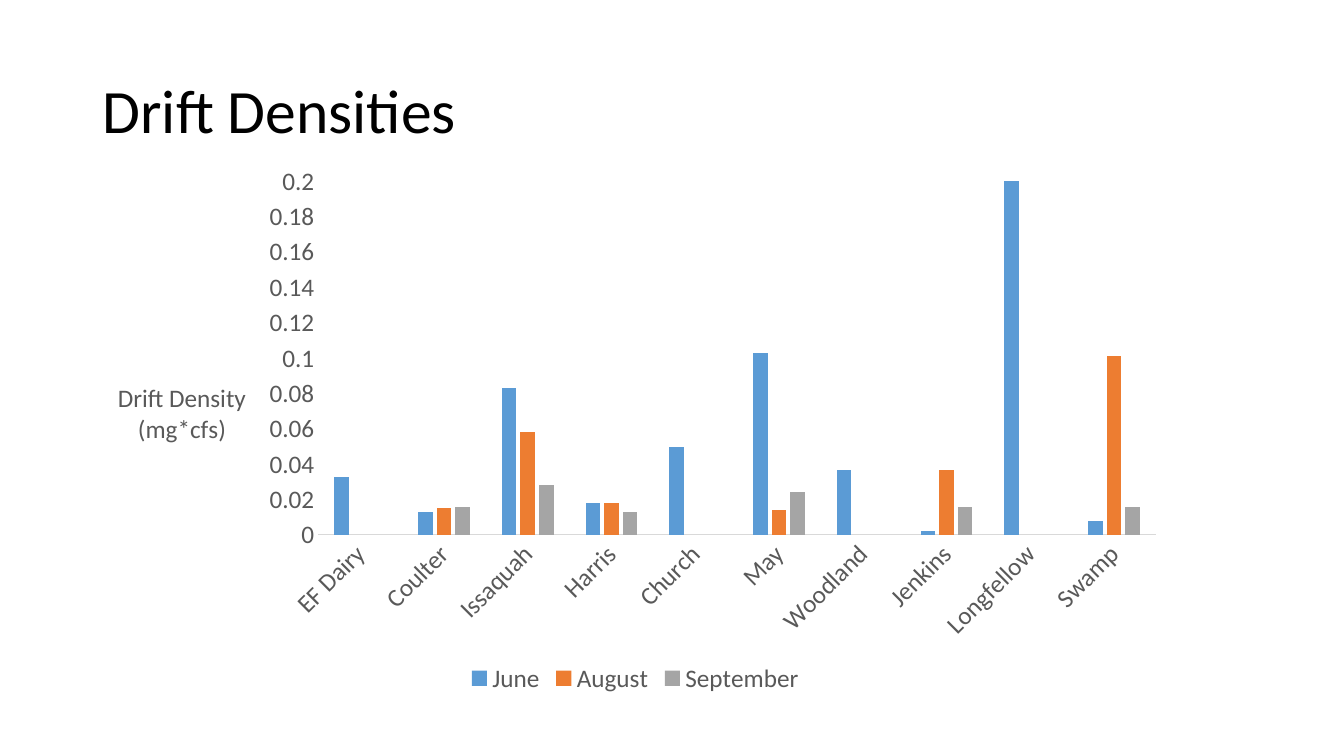
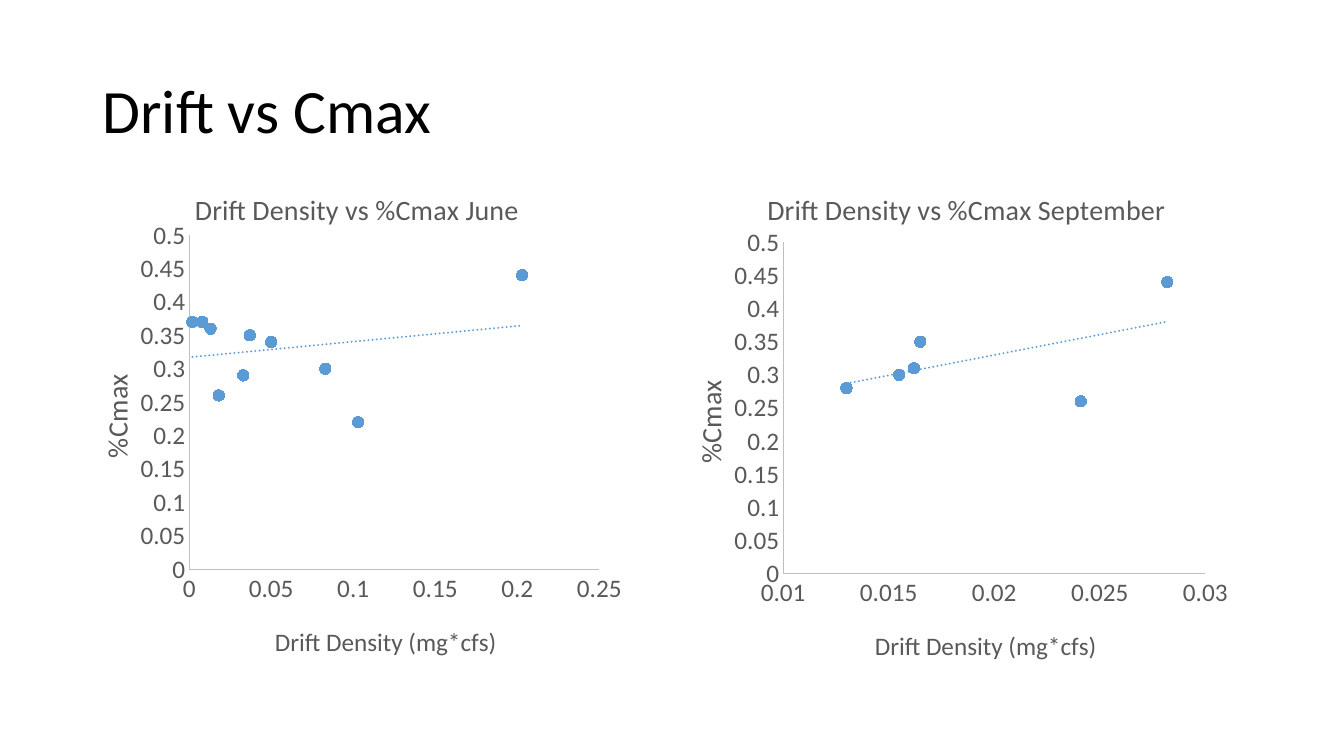
from lxml import etree
from pptx import Presentation
from pptx.chart.data import CategoryChartData, XyChartData
from pptx.dml.color import RGBColor
from pptx.enum.chart import XL_CHART_TYPE as ChartType
from pptx.enum.chart import XL_LEGEND_POSITION as LegendPos
from pptx.enum.chart import XL_MARKER_STYLE as Marker
from pptx.enum.chart import XL_TICK_MARK as Tick
from pptx.enum.text import MSO_ANCHOR as Anchor
from pptx.oxml import parse_xml
from pptx.oxml.ns import nsdecls, qn
from pptx.util import Pt

PX = 9144
FONT = "Calibri"
BLACK, GREY = "000000", "595959"
BASELINE, AXIS = "D9D9D9", "BFBFBF"
BLUE, ORANGE, SILVER = "5B9BD5", "ED7D31", "A5A5A5"
X_LABEL = "Drift Density (mg*cfs)"

SITES = ["EF Dairy", "Coulter", "Issaquah", "Harris", "Church", "May",
         "Woodland", "Jenkins", "Longfellow", "Swamp"]
JUNE = [0.033, 0.013, 0.083, 0.018, 0.05, 0.103, 0.037, 0.002, 0.203, 0.008]
AUGUST = [None, 0.015, 0.058, 0.018, None, 0.014, None, 0.037, None, 0.101]
SEPTEMBER = [None, 0.016, 0.028, 0.013, None, 0.024, None, 0.016, None, 0.016]
MONTHS = [("June", JUNE, BLUE), ("August", AUGUST, ORANGE),
          ("September", SEPTEMBER, SILVER)]

JUNE_CMAX = [0.29, 0.36, 0.3, 0.26, 0.34, 0.22, 0.35, 0.37, 0.44, 0.37]
SEPT_DRIFT = [0.0155, 0.0282, 0.013, 0.0241, 0.0165, 0.0162]
SEPT_CMAX = [0.3, 0.44, 0.28, 0.26, 0.35, 0.31]


def rgb(color):
    return RGBColor.from_string(color)


def px(*lengths):
    return [n * PX for n in lengths]


def set_font(font, size, color):
    font.name, font.size, font.bold = FONT, Pt(size), False
    font.color.rgb = rgb(color)


def add_slide(prs, title):
    s = prs.slides.add_slide(prs.slide_layouts[6])
    tf = s.shapes.add_textbox(*px(92, 40, 1150, 145)).text_frame
    tf.word_wrap = True
    tf.vertical_anchor = Anchor.MIDDLE
    p = tf.paragraphs[0]
    p.text = title
    p.line_spacing = 0.9
    set_font(p.font, 44, BLACK)
    return s


def manual_layout(x, y, size=None):
    parts = [("xMode", "edge"), ("yMode", "edge"), ("x", x), ("y", y)]
    if size:
        parts.insert(0, ("layoutTarget", "inner"))
        parts += zip("wh", size)
    body = "".join(f'<c:{tag} val="{val}"/>' for tag, val in parts)
    return parse_xml(f'<c:layout {nsdecls("c")}><c:manualLayout>{body}'
                     '</c:manualLayout></c:layout>')


def set_layout(parent, layout):
    for old in parent.findall(qn("c:layout")):
        parent.remove(old)
    tx = parent.find(qn("c:tx"))
    if tx is None:
        parent.insert(0, layout)
    else:
        tx.addnext(layout)


def set_title(title, text, size, at, box, rotation=0):
    tf = title.text_frame
    tf.text = text
    set_font(tf.paragraphs[0].font, size, GREY)
    body = title._element.find(".//" + qn("a:bodyPr"))
    body.set("rot", str(rotation * 60000))
    body.set("vert", "horz")
    set_layout(title._element,
               manual_layout(round(at[0] / box[2], 3), round(at[1] / box[3], 3)))


def style_axis(axis, line, low=None, high=None, step=None):
    axis.has_major_gridlines = False
    axis.major_tick_mark = axis.minor_tick_mark = Tick.NONE
    set_font(axis.tick_labels.font, 18, GREY)
    axis.tick_labels.number_format = "General"
    axis.tick_labels.number_format_is_linked = False
    if line:
        axis.format.line.color.rgb = rgb(line)
        axis.format.line.width = Pt(0.75)
    else:
        axis.format.line.fill.background()
    if high is not None:
        axis.minimum_scale, axis.maximum_scale = low, high
        axis.major_unit = step


def add_chart(s, kind, box, data):
    chart = s.shapes.add_chart(kind, *px(*box), data).chart
    set_font(chart.font, 10, BLACK)
    chart.has_title = chart.has_legend = False
    chart.plots[0].vary_by_categories = False
    return chart


def add_density_columns(s, box):
    data = CategoryChartData()
    data.categories = SITES
    for name, values, _ in MONTHS:
        data.add_series(name, values)
    chart = add_chart(s, ChartType.COLUMN_CLUSTERED, box, data)
    plot = chart.plots[0]
    plot.gap_width, plot.overlap = 219, -27
    for series, (_, _, color) in zip(plot.series, MONTHS):
        series.format.fill.solid()
        series.format.fill.fore_color.rgb = rgb(color)
    style_axis(chart.category_axis, BASELINE)
    chart.category_axis._element.find(".//" + qn("a:bodyPr")).set("rot", "-2700000")
    style_axis(chart.value_axis, None, 0, 0.2, 0.02)
    set_title(chart.value_axis.axis_title, X_LABEL, 18, (20, 219), box)
    chart.has_legend = True
    chart.legend.position = LegendPos.BOTTOM
    chart.legend.include_in_layout = False
    set_font(chart.legend.font, 18, GREY)


def add_trendline(series):
    trend = parse_xml(
        f'<c:trendline {nsdecls("c", "a")}><c:spPr><a:ln w="19050" cap="rnd">'
        f'<a:solidFill><a:srgbClr val="{BLUE}"/></a:solidFill>'
        '<a:prstDash val="sysDot"/></a:ln></c:spPr>'
        '<c:trendlineType val="linear"/><c:dispRSqr val="0"/>'
        '<c:dispEq val="0"/></c:trendline>')
    series._element.find(qn("c:xVal")).addprevious(trend)


def add_cmax_scatter(s, box, month, drift, cmax, x_scale, plot_area, title_at,
                     x_at, y_at):
    data = XyChartData()
    points = data.add_series("Series 1")
    for x, y in zip(drift, cmax):
        points.add_data_point(x, y)
    chart = add_chart(s, ChartType.XY_SCATTER, box, data)
    series = chart.plots[0].series[0]
    series.format.line.fill.background()
    series.marker.style, series.marker.size = Marker.CIRCLE, 8
    fmt = series.marker.format
    fmt.fill.solid()
    fmt.fill.fore_color.rgb = fmt.line.color.rgb = rgb(BLUE)
    add_trendline(series)
    style_axis(chart.category_axis, AXIS, *x_scale)
    style_axis(chart.value_axis, AXIS, 0, 0.5, 0.05)
    chart.has_title = True
    set_title(chart.chart_title, f"Drift Density vs %Cmax {month}", 20, title_at, box)
    set_title(chart.category_axis.axis_title, X_LABEL, 18, x_at, box)
    set_title(chart.value_axis.axis_title, "%Cmax", 20, y_at, box, -90)
    area = chart._chartSpace.find(".//" + qn("c:plotArea"))
    set_layout(area, manual_layout(*plot_area[:2], plot_area[2:]))


def main():
    prs = Presentation()
    prs.slide_width, prs.slide_height = px(1333, 750)
    add_density_columns(add_slide(prs, "Drift Densities"), (92, 154, 1076, 539))
    s = add_slide(prs, "Drift vs Cmax")
    add_cmax_scatter(s, (665, 162, 576, 513), "September", SEPT_DRIFT, SEPT_CMAX,
                     (0.01, 0.03, 0.005), (0.194, 0.153, 0.727, 0.641),
                     (91, 21), (198, 457), (15, 210))
    add_cmax_scatter(s, (78, 162, 543, 513), "June", JUNE, JUNE_CMAX,
                     (0, 0.25, 0.05), (0.202, 0.139, 0.749, 0.646),
                     (110, 21), (190, 453), (13, 204))
    prs.save("out.pptx")


if __name__ == "__main__":
    main()
